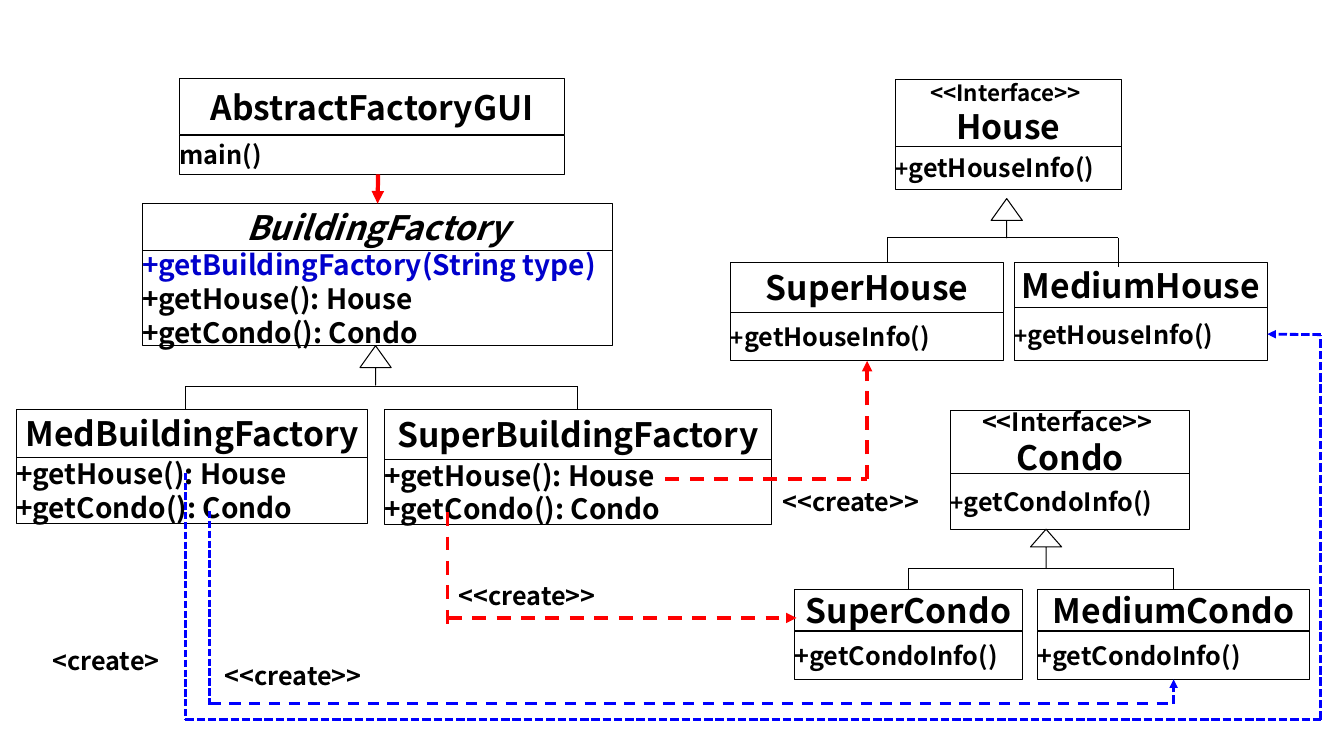
import pptx
import pptx.dml.color
import pptx.enum.dml
import pptx.enum.shapes
import pptx.enum.text
import pptx.oxml
import pptx.oxml.ns
import pptx.util

Inches = pptx.util.Inches
BLACK = pptx.dml.color.RGBColor(0x00, 0x00, 0x00)
WHITE = pptx.dml.color.RGBColor(0xFF, 0xFF, 0xFF)
RED = pptx.dml.color.RGBColor(0xFF, 0x00, 0x00)
BLUE = pptx.dml.color.RGBColor(0x00, 0x00, 0xFF)
NAVY = pptx.dml.color.RGBColor(0x00, 0x00, 0xCC)
DASH = pptx.enum.dml.MSO_LINE.DASH
FINE_DASH = pptx.enum.dml.MSO_LINE.SQUARE_DOT
LEFT = pptx.enum.text.PP_ALIGN.LEFT
CENTER = pptx.enum.text.PP_ALIGN.CENTER
TOP_SIDE, LEFT_SIDE, BOTTOM_SIDE, RIGHT_SIDE = range(4)


class ClassDiagram:
    font = "Noto Sans CJK SC"
    outline = 0.75

    def __init__(self, deck):
        self.slide = deck.slides.add_slide(deck.slide_layouts[6])

    def add_text(self, frame, lines, align=LEFT, italic=False):
        frame.margin_left = frame.margin_right = 0
        frame.margin_top = frame.margin_bottom = 0
        for index, spans in enumerate(lines):
            para = frame.add_paragraph() if index else frame.paragraphs[0]
            para.alignment = align
            for text, size, color in spans:
                span = para.add_run()
                span.text = text
                span.font.name = self.font
                span.font.size = pptx.util.Pt(size)
                span.font.bold = True
                span.font.italic = italic
                span.font.color.rgb = color

    def shape(self, kind, left, top, width, height):
        shape = self.slide.shapes.add_shape(
            kind, Inches(left), Inches(top), Inches(width), Inches(height))
        shape.shadow.inherit = False
        shape.fill.solid()
        shape.fill.fore_color.rgb = WHITE
        shape.line.color.rgb = BLACK
        shape.line.width = pptx.util.Pt(self.outline)
        return shape

    def box(self, left, top, width, height, lines, align=LEFT, italic=False):
        box = self.shape(pptx.enum.shapes.MSO_SHAPE.RECTANGLE, left, top, width, height)
        box.text_frame.word_wrap = False
        box.text_frame.vertical_anchor = pptx.enum.text.MSO_ANCHOR.MIDDLE
        self.add_text(box.text_frame, lines, align, italic)
        return box

    def uml_class(self, left, top, width, heights, title, members, italic=False):
        head_height, body_height = heights
        head = self.box(left, top, width, head_height, title, CENTER, italic)
        body = self.box(left, top + head_height, width, body_height, members)
        return head, body

    def label(self, left, top, width, text):
        box = self.slide.shapes.add_textbox(
            Inches(left), Inches(top), Inches(width), Inches(0.3))
        box.text_frame.word_wrap = True
        self.add_text(box.text_frame, [[(text, 18, BLACK)]])

    def inheritance(self, left, top, head):
        triangle = self.shape(pptx.enum.shapes.MSO_SHAPE.UP_ARROW, left, top, 0.31, 0.39)
        triangle.adjustments[0] = 0
        triangle.adjustments[1] = head

    def line(self, start, end, color=BLACK, width=outline, dash=None, arrow=False, join=None):
        line = self.slide.shapes.add_connector(
            pptx.enum.shapes.MSO_CONNECTOR.STRAIGHT,
            *(Inches(value) for value in (*start, *end)))
        line.line.color.rgb = color
        line.line.width = pptx.util.Pt(width)
        if dash:
            line.line.dash_style = dash
        properties = line.element.spPr
        if arrow:
            tail = pptx.oxml.parse_xml(
                f'<a:tailEnd {pptx.oxml.ns.nsdecls("a")} type="triangle"/>')
            properties.get_or_add_ln().append(tail)
        effects = pptx.oxml.parse_xml(f'<a:effectLst {pptx.oxml.ns.nsdecls("a")}/>')
        properties.append(effects)
        if join:
            line.end_connect(*join)


def title(name):
    return [[(name, 24, BLACK)]]


def interface(name, size):
    return [[("<<Interface>> ", size, BLACK)], [(name, 24, BLACK)]]


def info(method):
    return [[("+", 16, BLACK), (method, 18, BLACK)]]


def main():
    deck = pptx.Presentation()
    deck.slide_width = Inches(13.33)
    deck.slide_height = Inches(7.5)
    diagram = ClassDiagram(deck)

    for left, top, width, text in (
            (4.55, 5.76, 1.77, "<<create>>"), (7.76, 4.82, 1.59, "<<create>>"),
            (2.23, 6.55, 1.57, "<<create>>"), (0.52, 6.4, 1.32, "<create>")):
        diagram.label(left, top, width, text)

    getters = [[("+getHouse(): House", 20, BLACK)], [("+getCondo(): Condo", 20, BLACK)]]
    lookup = [[("+getBuildingFactory(String type)", 20, NAVY)]]
    house_info = info("getHouseInfo()")
    condo_info = [[("+getCondoInfo()", 18, BLACK)]]

    diagram.uml_class(1.78, 0.78, 3.82, (0.56, 0.39),
                      title("AbstractFactoryGUI"), [[("main()", 18, BLACK)]])
    factory, _ = diagram.uml_class(1.41, 2.02, 4.67, (0.47, 0.94),
                                   title("BuildingFactory"), lookup + getters, italic=True)
    super_factory, _ = diagram.uml_class(3.81, 4.06, 3.84, (0.5, 0.64),
                                         title("SuperBuildingFactory"), getters)
    diagram.uml_class(0.16, 4.06, 3.49, (0.48, 0.65), title("MedBuildingFactory"), getters)
    diagram.uml_class(8.88, 0.79, 2.24, (0.66, 0.43), interface("House", 16), house_info)
    _, super_house = diagram.uml_class(7.25, 2.6, 2.7, (0.5, 0.48),
                                       title("SuperHouse"), house_info)
    _, medium_house = diagram.uml_class(10.06, 2.6, 2.51, (0.45, 0.53),
                                        title("MediumHouse"), house_info)
    diagram.uml_class(9.43, 4.07, 2.37, (0.63, 0.55),
                      interface("Condo", 18), info("getCondoInfo()"))
    super_condo, _ = diagram.uml_class(7.88, 5.85, 2.26, (0.41, 0.48),
                                       title("SuperCondo"), condo_info)
    medium_condo, medium_condo_body = diagram.uml_class(
        10.29, 5.85, 2.7, (0.41, 0.48), title("MediumCondo"), condo_info)

    for left, top, head in ((3.57, 3.43, 0.7), (9.83, 1.97, 0.7), (10.22, 5.25, 0.57)):
        diagram.inheritance(left, top, head)

    for left, right, top, bottoms, joins in (
            (1.84, 5.73, 3.83, (4.06, 4.06), (None, (super_factory, TOP_SIDE))),
            (8.8, 11.09, 2.36, (2.6, 2.65), (None, None)),
            (9.01, 11.64, 5.64, (5.85, 5.85),
             ((super_condo, TOP_SIDE), (medium_condo, TOP_SIDE)))):
        diagram.line((left, top), (right, top))
        for x, bottom, join in zip((left, right), bottoms, joins):
            diagram.line((x, top), (x, bottom), join=join)

    diagram.line((3.75, 1.73), (3.75, 2.02), RED, 3, arrow=True, join=(factory, TOP_SIDE))

    diagram.line((6.6, 4.75), (8.6, 4.75), RED, 2.5, DASH)
    diagram.line((8.6, 4.75), (8.6, 3.58), RED, 2.5, DASH, True, (super_house, BOTTOM_SIDE))
    diagram.line((4.44, 5.08), (4.44, 6.19), RED, 2.5, DASH)
    diagram.line((4.44, 6.13), (7.9, 6.13), RED, 2.5, DASH, True)

    diagram.line((2.08, 5.07), (2.08, 7), BLUE, 1.75, FINE_DASH)
    diagram.line((2.08, 6.98), (11.64, 6.98), BLUE, 2, DASH)
    diagram.line((11.64, 6.98), (11.64, 6.74), BLUE, 2, FINE_DASH, True,
                 (medium_condo_body, BOTTOM_SIDE))
    diagram.line((1.84, 4.69), (1.84, 7.14), BLUE, 1.75, FINE_DASH)
    diagram.line((1.84, 7.14), (13.1, 7.14), BLUE, 2, FINE_DASH)
    diagram.line((13.1, 7.14), (13.1, 3.32), BLUE, 2, FINE_DASH)
    diagram.line((13.1, 3.32), (12.57, 3.32), BLUE, 2, FINE_DASH, True,
                 (medium_house, RIGHT_SIDE))

    deck.save("out.pptx")


if __name__ == "__main__":
    main()
